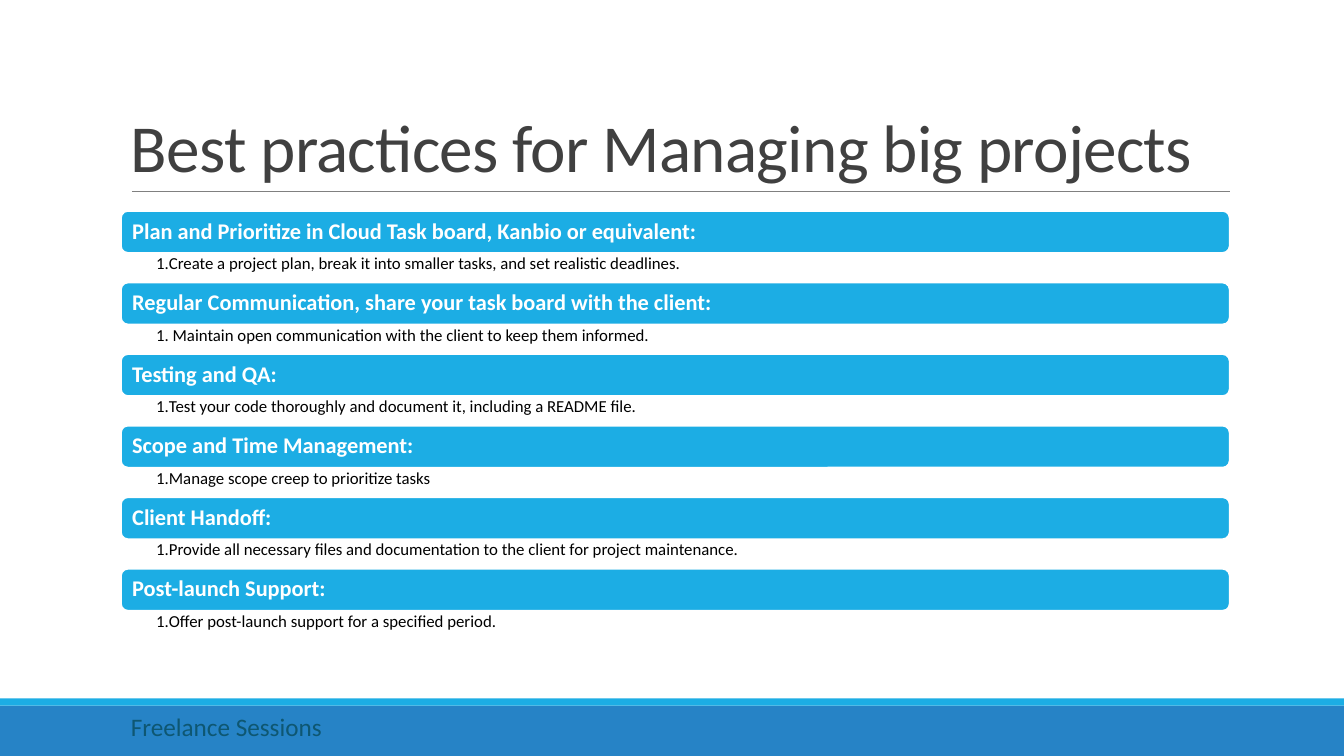
from pptx import Presentation
from pptx.dml.color import RGBColor
from pptx.enum import shapes, text
from pptx.oxml import ns
from pptx.util import Pt
from lxml import etree

HUES = {"bar": "1CADE4", "foot": "2683C6", "rule": "808080", "edge": "FFFFFF",
        "title": "404040", "head": "FFFFFF", "note": "000000", "tag": "0E5772"}
KIND = shapes.MSO_SHAPE
MID, LOW, TOP = (text.MSO_ANCHOR.MIDDLE, text.MSO_ANCHOR.BOTTOM,
                 text.MSO_ANCHOR.TOP)

# Text formats: anchor, insets (left, top, right, bottom), line spacing, font
FORMS = {
    "title": (LOW, (7.2, 3.6, 7.2, 3.6), 0.85, {"size": Pt(48)}),
    "head": (MID, (6.6, 5, 6.6, 5), 0.9, {"size": Pt(16), "bold": True}),
    "note": (TOP, (25.2, 1.6, 8.6, 1.6), 0.9, {"size": Pt(12)}),
    "tag": (TOP, (7.2, 3.6, 7.2, 3.6), 1.0, {"size": Pt(18)}),
}

STEPS = [
    ("Plan and Prioritize in Cloud Task board, Kanbio or equivalent:",
     "Create a project plan, break it into smaller tasks, and set realistic deadlines."),
    ("Regular Communication, share your task board with the client:",
     " Maintain open communication with the client to keep them informed."),
    ("Testing and QA:",
     "Test your code thoroughly and document it, including a README file."),
    ("Scope and Time Management:",
     "Manage scope creep to prioritize tasks"),
    ("Client Handoff:",
     "Provide all necessary files and documentation to the client for project maintenance."),
    ("Post-launch Support:",
     "Offer post-launch support for a specified period."),
]

deck = Presentation()
deck.slide_width, deck.slide_height = Pt(960), Pt(540)
slide = deck.slides.add_slide(deck.slide_layouts[6])


def block(kind, hue, *box):
    shape = slide.shapes.add_shape(kind, *map(Pt, box))
    shape.shadow.inherit = False
    shape.fill.solid()
    shape.fill.fore_color.rgb = RGBColor.from_string(HUES[hue])
    shape.line.fill.background()
    return shape


def write(shape, form, words):
    anchor, insets, gap, looks = FORMS[form]
    frame = shape.text_frame
    frame.word_wrap = True
    frame.vertical_anchor = anchor
    for side, inset in zip(("left", "top", "right", "bottom"), insets):
        setattr(frame, "margin_" + side, Pt(inset))
    para = frame.paragraphs[0]
    para.alignment = text.PP_ALIGN.LEFT
    para.line_spacing = gap
    run = para.add_run()
    run.text = words
    for name, value in {"name": "Calibri", **looks}.items():
        setattr(run.font, name, value)
    run.font.color.rgb = RGBColor.from_string(HUES[form])
    return para


# Footer bands
block(KIND.RECTANGLE, "foot", 0, 504, 960, 36)
block(KIND.RECTANGLE, "bar", 0, 498.8, 960, 5.2)

# Title and its rule
rule = slide.shapes.add_connector(shapes.MSO_CONNECTOR.STRAIGHT,
                                  Pt(94.2), Pt(136.8), Pt(878.8), Pt(136.8))
rule.line.color.rgb = RGBColor.from_string(HUES["rule"])
rule.line.width = Pt(0.5)
etree.SubElement(rule._element.spPr, ns.qn("a:effectLst"))
title = slide.shapes.add_textbox(Pt(86.4), Pt(22.6), Pt(792), Pt(114.2))
para = write(title, "title", "Best practices for Managing big projects")
para.runs[0].font._element.set("spc", "-50")

# Steps: a bar with its numbered note below
for row, (head, note) in enumerate(STEPS):
    top = 150.7 + row * 51.12
    bar = block(KIND.ROUNDED_RECTANGLE, "bar", 86.4, top, 792, 30)
    bar.line.color.rgb = RGBColor.from_string(HUES["edge"])
    bar.line.width = Pt(1.25)
    write(bar, "head", head)
    area = slide.shapes.add_textbox(Pt(86.4), Pt(top + 30), Pt(792), Pt(21))
    para = write(area, "note", note)
    para.level = 1
    props = para._p.get_or_add_pPr()
    props.set("marL", str(Pt(9)))
    props.set("indent", str(Pt(-9)))
    etree.SubElement(props, ns.qn("a:buFont"), typeface="+mj-lt")
    etree.SubElement(props, ns.qn("a:buAutoNum"), type="arabicPeriod")

# Footer label
label = slide.shapes.add_textbox(Pt(86.4), Pt(504.7), Pt(560), Pt(29))
write(label, "tag", "Freelance Sessions")

deck.save("out.pptx")
